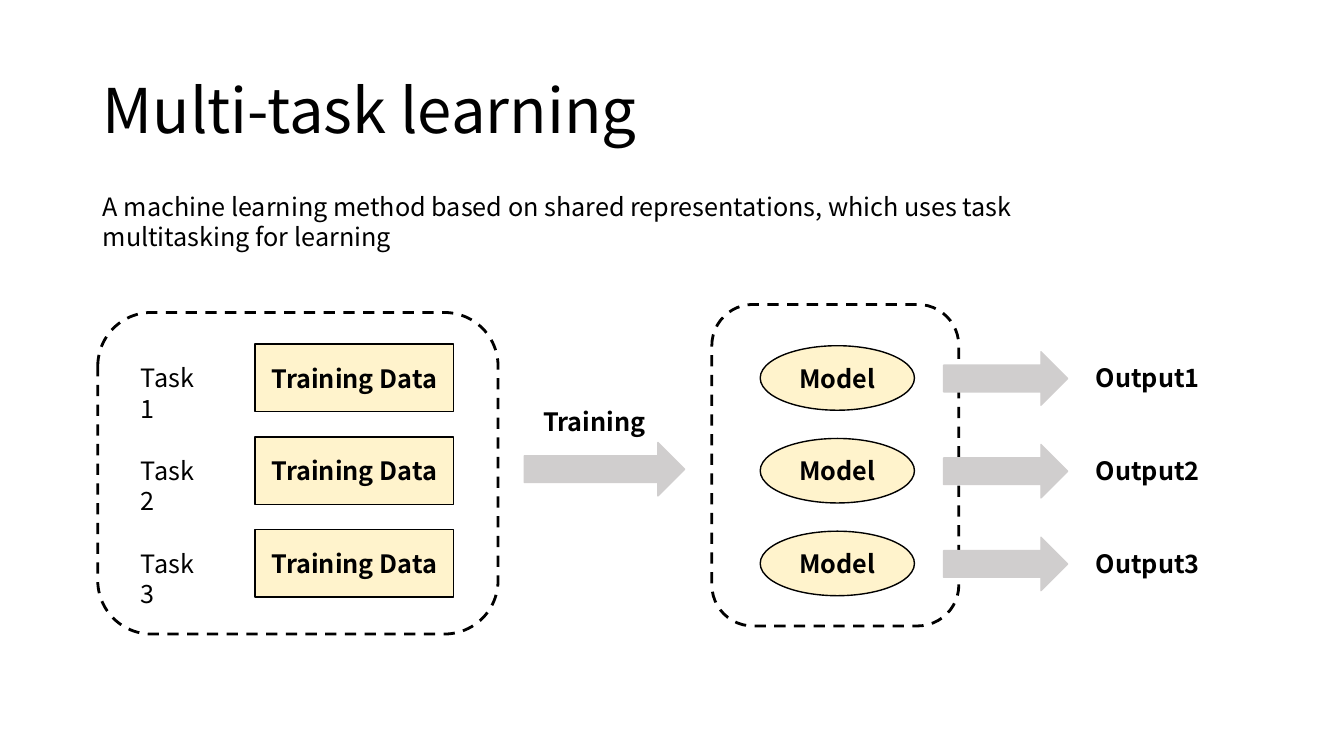
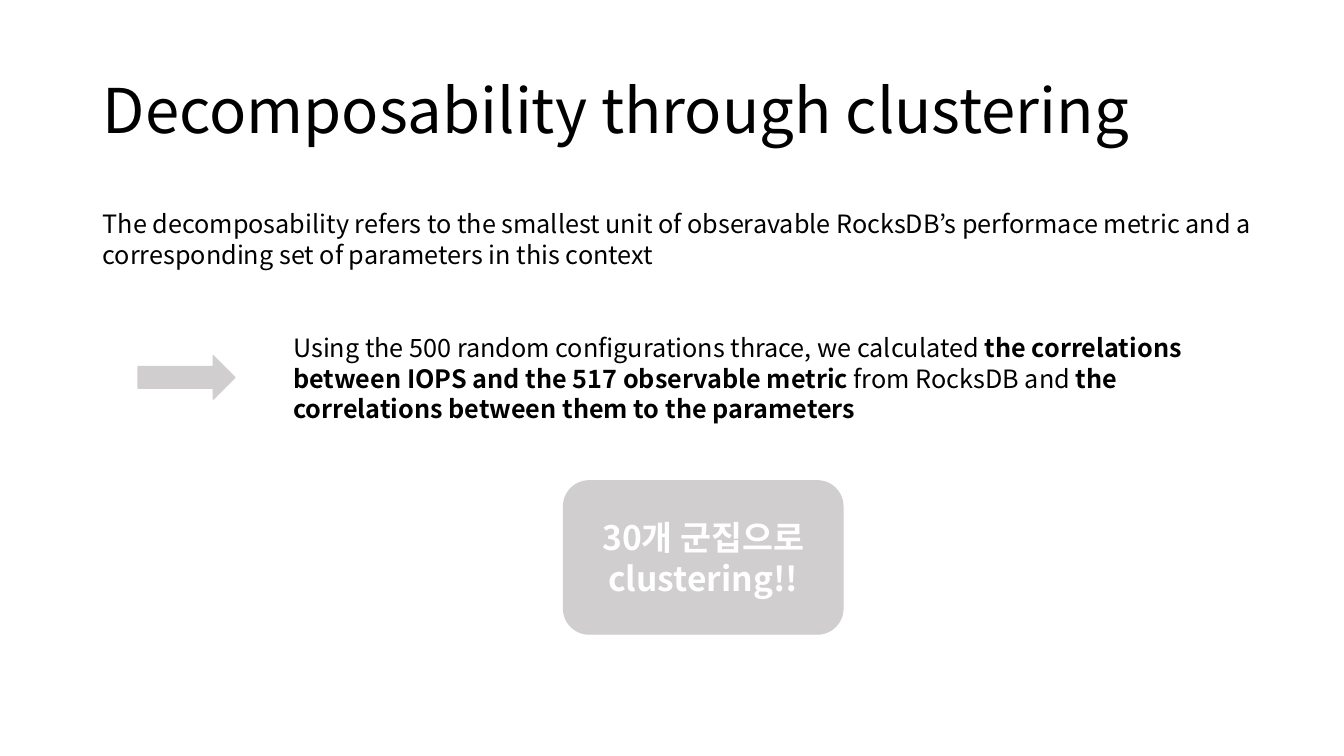
"""Build two slides on multi-task learning and clustering."""
from dataclasses import dataclass

from lxml import etree
from pptx import Presentation
from pptx.dml.color import RGBColor
from pptx.enum.dml import MSO_LINE
from pptx.enum.shapes import MSO_SHAPE
from pptx.enum.text import MSO_ANCHOR, PP_ALIGN
from pptx.oxml.ns import qn
from pptx.util import Inches, Pt

RECT = MSO_SHAPE.RECTANGLE
ROUNDED = MSO_SHAPE.ROUNDED_RECTANGLE
OVAL = MSO_SHAPE.OVAL
ARROW = MSO_SHAPE.RIGHT_ARROW
PROCESS = MSO_SHAPE.FLOWCHART_ALTERNATE_PROCESS
DASH = MSO_LINE.DASH
TOP, MIDDLE = MSO_ANCHOR.TOP, MSO_ANCHOR.MIDDLE
LEFT, CENTER = PP_ALIGN.LEFT, PP_ALIGN.CENTER


@dataclass(frozen=True)
class Theme:
    font: str = "Noto Sans CJK KR"
    black: RGBColor = RGBColor(0x00, 0x00, 0x00)
    white: RGBColor = RGBColor(0xFF, 0xFF, 0xFF)
    cream: RGBColor = RGBColor(0xFF, 0xF3, 0xCC)
    gray: RGBColor = RGBColor(0xD0, 0xCE, 0xCE)
    title: int = 44
    callout: int = 24
    body: int = 18


T = Theme()


def write(sp, runs, size=T.body, color=T.black, anchor=TOP, align=LEFT):
    tf = sp.text_frame
    tf.word_wrap = True
    tf.vertical_anchor = anchor
    p = tf.paragraphs[0]
    p.alignment = align
    for text, bold in runs:
        r = p.add_run()
        r.text = text
        r.font.size = Pt(size)
        r.font.bold = bold
        r.font.color.rgb = color
        r.font.name = T.font
        etree.SubElement(r.font._element, qn("a:ea"), typeface=T.font)
    return p


def draw(s, kind, x, y, w, h, fill=T.gray, line=T.gray, width=1):
    sp = s.shapes.add_shape(kind, Inches(x), Inches(y), Inches(w), Inches(h))
    sp.shadow.inherit = False
    sp.fill.solid()
    sp.fill.fore_color.rgb = fill
    sp.line.color.rgb = line
    sp.line.width = Pt(width)
    return sp


prs = Presentation()
prs.slide_width, prs.slide_height = Inches(13.33), Inches(7.5)

slides = []
for title in ("Multi-task learning", "Decomposability through clustering"):
    s = prs.slides.add_slide(prs.slide_layouts[6])
    sp = s.shapes.add_textbox(Inches(0.92), Inches(0.4), Inches(11.5), Inches(1.45))
    p = write(sp, [(title, False)], T.title, anchor=MIDDLE)
    p.line_spacing = 0.9
    slides.append(s)
learning, clustering = slides

for x, y, w in ((0.97, 3.1, 3.97), (7.06, 3.02, 2.45)):
    sp = draw(learning, ROUNDED, x, y, w, 3.19, T.white, T.black, 2)
    sp.line.dash_style = DASH

labels = [
    (learning, 0.92, 1.85, 9.85, 1.31, [("A machine learning method based on shared representations, "
                                         "which uses task multitasking for learning", False)]),
    (learning, 5.29, 3.98, 1.34, 0.4, [("Training", True)]),
    (clustering, 0.92, 2.02, 12.12, 0.71, [("The decomposability refers to the smallest unit of obseravable "
                                            "RocksDB’s performace metric and a corresponding set of "
                                            "parameters in this context", False)]),
    (clustering, 2.81, 3.25, 9.6, 1.01, [("Using the 500 random configurations thrace, we calculated ", False),
                                         ("the correlations between IOPS and the 517 observable metric", True),
                                         (" from RocksDB and ", False),
                                         ("the correlations between them to the parameters", True)]),
]

draw(learning, ARROW, 5.2, 4.39, 1.59, 0.53)
first_row, row_pitch = 3.75, 0.92
for i in range(3):
    mid = first_row + i * row_pitch
    for kind, x, w, h, text in ((RECT, 2.53, 1.97, 0.67, "Training Data"),
                                (OVAL, 7.54, 1.53, 0.64, "Model")):
        sp = draw(learning, kind, x, mid - h / 2, w, h, T.cream, T.black)
        write(sp, [(text, True)], anchor=MIDDLE, align=CENTER)
    draw(learning, ARROW, 9.36, mid - 0.26, 1.23, 0.53)
    labels.append((learning, 1.3, mid - 0.2, 0.81, 0.4, [(f"Task{i + 1}", False)]))
    labels.append((learning, 10.77, mid - 0.2, 1.45, 0.4, [(f"Output{i + 1}", True)]))

draw(clustering, ARROW, 1.37, 3.53, 0.96, 0.43)
sp = draw(clustering, PROCESS, 5.59, 4.77, 2.77, 1.52)
write(sp, [("30개 군집으로 clustering!!", True)], T.callout, T.white, MIDDLE, CENTER)

for s, x, y, w, h, runs in labels:
    sp = s.shapes.add_textbox(Inches(x), Inches(y), Inches(w), Inches(h))
    write(sp, runs)

prs.save("out.pptx")
